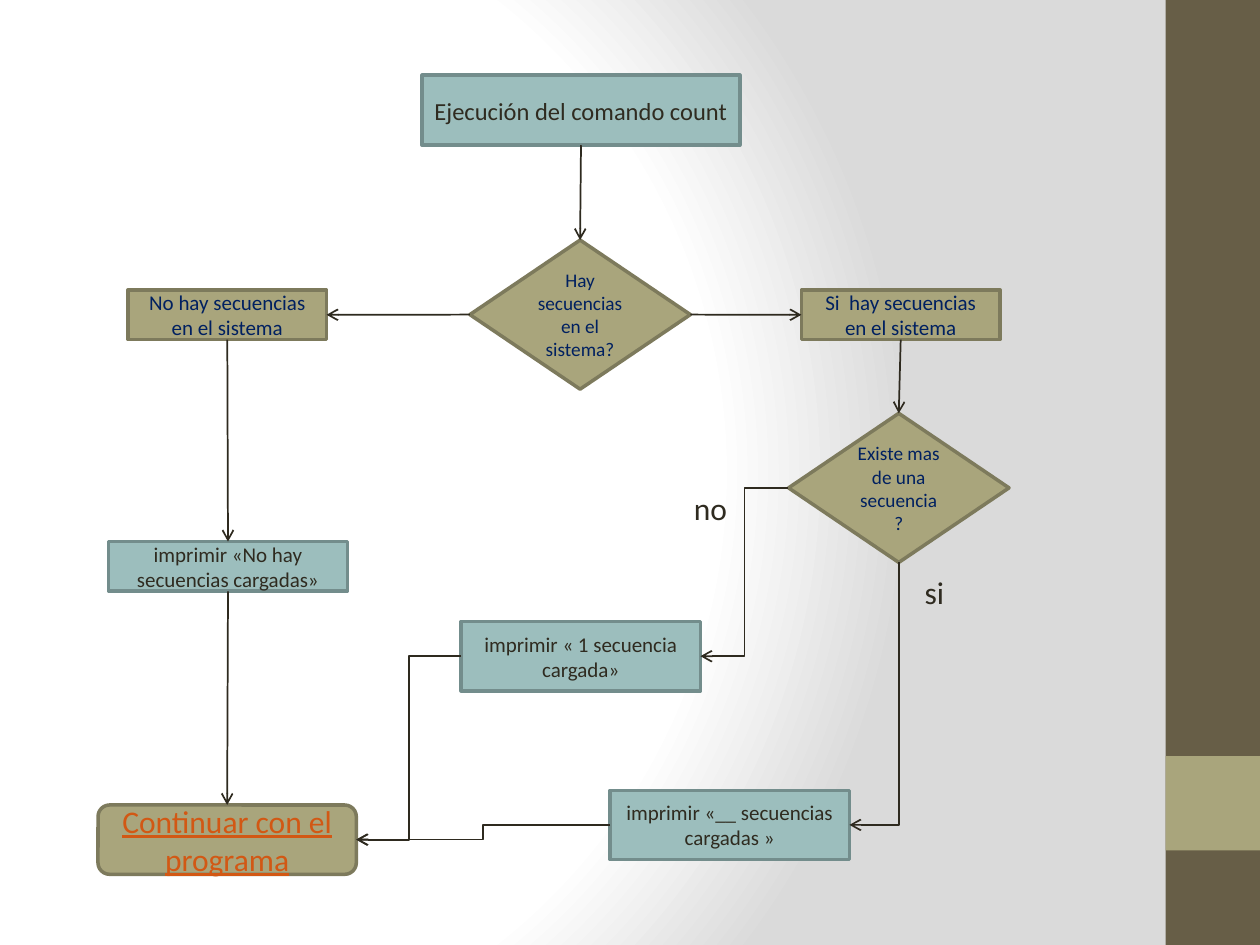
import pptx
import pptx.util
import pptx.dml.color
import pptx.enum.shapes
import pptx.enum.text
import pptx.oxml
import pptx.oxml.ns
import lxml.etree

Pt = pptx.util.Pt
RGBColor = pptx.dml.color.RGBColor
Shape = pptx.enum.shapes.MSO_SHAPE
Connector = pptx.enum.shapes.MSO_CONNECTOR
qn = pptx.oxml.ns.qn

WHITE = RGBColor(0xFF, 0xFF, 0xFF)
GREY = RGBColor(0xDA, 0xDA, 0xDA)
BROWN = RGBColor(0x67, 0x5E, 0x47)
OLIVE = RGBColor(0xA9, 0xA5, 0x7C)
OLIVE_LINE = RGBColor(0x7D, 0x7A, 0x5C)
TEAL = RGBColor(0x9C, 0xBE, 0xBD)
TEAL_LINE = RGBColor(0x73, 0x8D, 0x8C)
INK = RGBColor(0x2F, 0x2B, 0x20)
ARROW = RGBColor(0x2E, 0x2A, 0x1F)
NAVY = RGBColor(0x00, 0x20, 0x60)
ORANGE = RGBColor(0xD2, 0x58, 0x14)

presentation = pptx.Presentation()
presentation.slide_width, presentation.slide_height = Pt(720), Pt(540)
slide = presentation.slides.add_slide(presentation.slide_layouts[6])


def write(shape, text, size=12, color=INK, underline=None, wrap=True,
          align=pptx.enum.text.PP_ALIGN.CENTER,
          anchor=pptx.enum.text.MSO_ANCHOR.MIDDLE):
    frame = shape.text_frame
    frame.word_wrap = wrap
    frame.vertical_anchor = anchor
    paragraph = frame.paragraphs[0]
    paragraph.alignment = align
    run = paragraph.add_run()
    run.text = text
    run.font.name = "Calibri"
    run.font.size = Pt(size)
    run.font.color.rgb = color
    run.font.underline = underline


def add_block(kind, left, top, width, height, fill, line=None):
    shape = slide.shapes.add_shape(kind, Pt(left), Pt(top), Pt(width), Pt(height))
    shape.shadow.inherit = False
    shape.fill.solid()
    shape.fill.fore_color.rgb = fill
    if line is None:
        shape.line.fill.background()
    else:
        shape.line.color.rgb = line
        shape.line.width = Pt(2)
    return shape


# Background: circular gradient, white until 75 %
background = slide.background.fill
background.gradient()
gradient = background._xPr.find(qn("a:gradFill"))
for child in list(gradient):
    gradient.remove(child)
stops = lxml.etree.SubElement(gradient, qn("a:gsLst"))
for position, color in [(0, WHITE), (75, WHITE), (100, GREY)]:
    stop = lxml.etree.SubElement(stops, qn("a:gs"), pos=str(position * 1000))
    lxml.etree.SubElement(stop, qn("a:srgbClr"), val=str(color))
circle = lxml.etree.SubElement(gradient, qn("a:path"))
circle.set("path", "circle")
lxml.etree.SubElement(circle, qn("a:fillToRect"),
                      l="20000", t="50000", r="100000", b="50000")

# Side band
add_block(Shape.RECTANGLE, 666, 0, 54, 540, BROWN)
add_block(Shape.RECTANGLE, 666, 432, 54, 54, OLIVE)

# Flowchart steps: olive for decisions and states, teal for actions
olive, teal = (OLIVE, OLIVE_LINE), (TEAL, TEAL_LINE)
steps = [
    ("start", Shape.RECTANGLE, (241.2, 43, 181.6, 40), teal,
     "Ejecución del comando count ", {"size": 14}),
    ("any", Shape.DIAMOND, (268.5, 137.2, 126, 85.2), olive,
     "Hay secuencias en el sistema?", {"size": 11, "color": NAVY}),
    ("continue", Shape.FLOWCHART_ALTERNATE_PROCESS, (56, 460, 147.6, 39.6), olive,
     "Continuar con el programa", {"size": 18, "color": ORANGE, "underline": True}),
    ("some", Shape.RECTANGLE, (458, 165.7, 113.4, 28.4), olive,
     "Si  hay secuencias en el sistema", {"color": NAVY}),
    ("none", Shape.RECTANGLE, (73.2, 165.7, 113.4, 28.4), olive,
     "No hay secuencias en el sistema", {"color": NAVY}),
    ("print none", Shape.RECTANGLE, (62, 309.5, 136.6, 28.4), teal,
     "imprimir «No hay secuencias cargadas»", {}),
    ("print one", Shape.RECTANGLE, (263.5, 355.2, 136.8, 39.6), teal,
     "imprimir « 1 secuencia cargada»", {}),
    ("print many", Shape.RECTANGLE, (348.6, 451.6, 136.8, 39.6), teal,
     "imprimir «__ secuencias cargadas »", {}),
    ("several", Shape.DIAMOND, (450.6, 236.2, 126, 85.2), olive,
     "Existe mas de una secuencia?", {"size": 11, "color": NAVY}),
]
blocks = {}
for name, kind, box, colors, text, style in steps:
    blocks[name] = add_block(kind, *box, *colors)
    write(blocks[name], text, **style)

# Arrows, glued to the sides of the steps
TOP, LEFT, BOTTOM, RIGHT = range(4)
arrows = [
    ("start", BOTTOM, "any", TOP, "straight"),
    ("any", LEFT, "none", RIGHT, "straight"),
    ("none", BOTTOM, "print none", TOP, "straight"),
    ("print none", BOTTOM, "continue", TOP, "straight"),
    ("some", BOTTOM, "several", TOP, "straight"),
    ("several", LEFT, "print one", RIGHT, "elbow"),
    ("any", RIGHT, "some", LEFT, "straight"),
    ("several", BOTTOM, "print many", RIGHT, "corner"),
    ("print many", LEFT, "continue", RIGHT, "elbow"),
    ("print one", LEFT, "continue", RIGHT, "elbow"),
]
for source, source_side, target, target_side, route in arrows:
    kind = Connector.STRAIGHT if route == "straight" else Connector.ELBOW
    arrow = slide.shapes.add_connector(kind, 0, 0, 0, 0)
    arrow.begin_connect(blocks[source], source_side)
    arrow.end_connect(blocks[target], target_side)
    arrow.line.color.rgb = ARROW
    arrow.line.width = Pt(1)
    properties = arrow._element.spPr
    if route == "corner":
        # One bend, down then left: a quarter turn about the same centre
        width, height = arrow.width, arrow.height
        arrow.left += (width - height) // 2
        arrow.top += (height - width) // 2
        arrow.width, arrow.height = height, width
        frame = properties.find(qn("a:xfrm"))
        frame.attrib.pop("flipH", None)
        frame.set("rot", "5400000")
        properties.find(qn("a:prstGeom")).set("prst", "bentConnector2")
    lxml.etree.SubElement(properties.find(qn("a:ln")), qn("a:tailEnd"), type="arrow")
    lxml.etree.SubElement(properties, qn("a:effectLst"))

# Branch labels
for text, left, top, width in [("no", 389.5, 275.8, 33.8), ("si", 521.3, 324, 25.9)]:
    label = slide.shapes.add_textbox(Pt(left), Pt(top), Pt(width), Pt(29))
    write(label, text, size=18, wrap=False, align=pptx.enum.text.PP_ALIGN.LEFT,
          anchor=pptx.enum.text.MSO_ANCHOR.TOP)

presentation.save("out.pptx")
